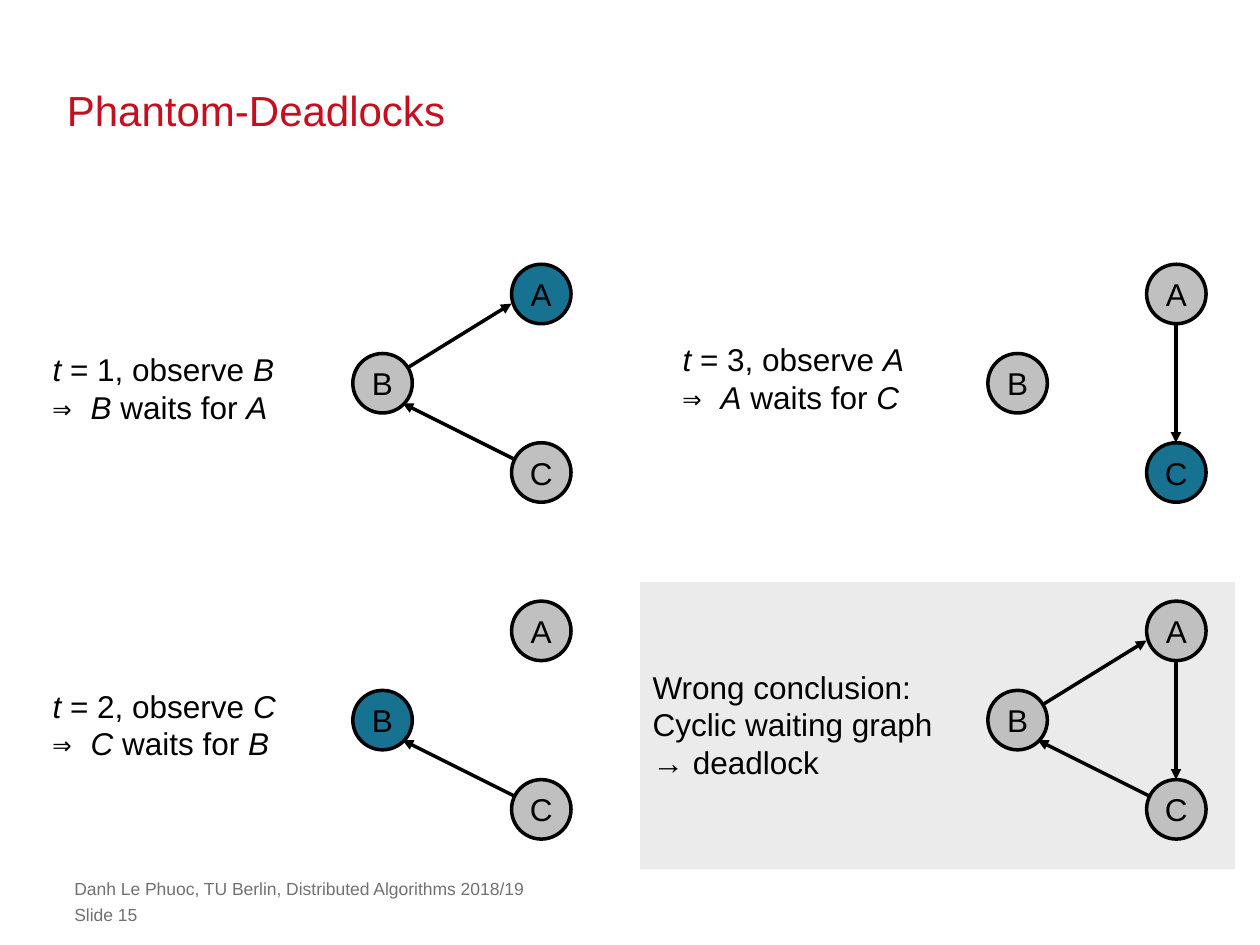
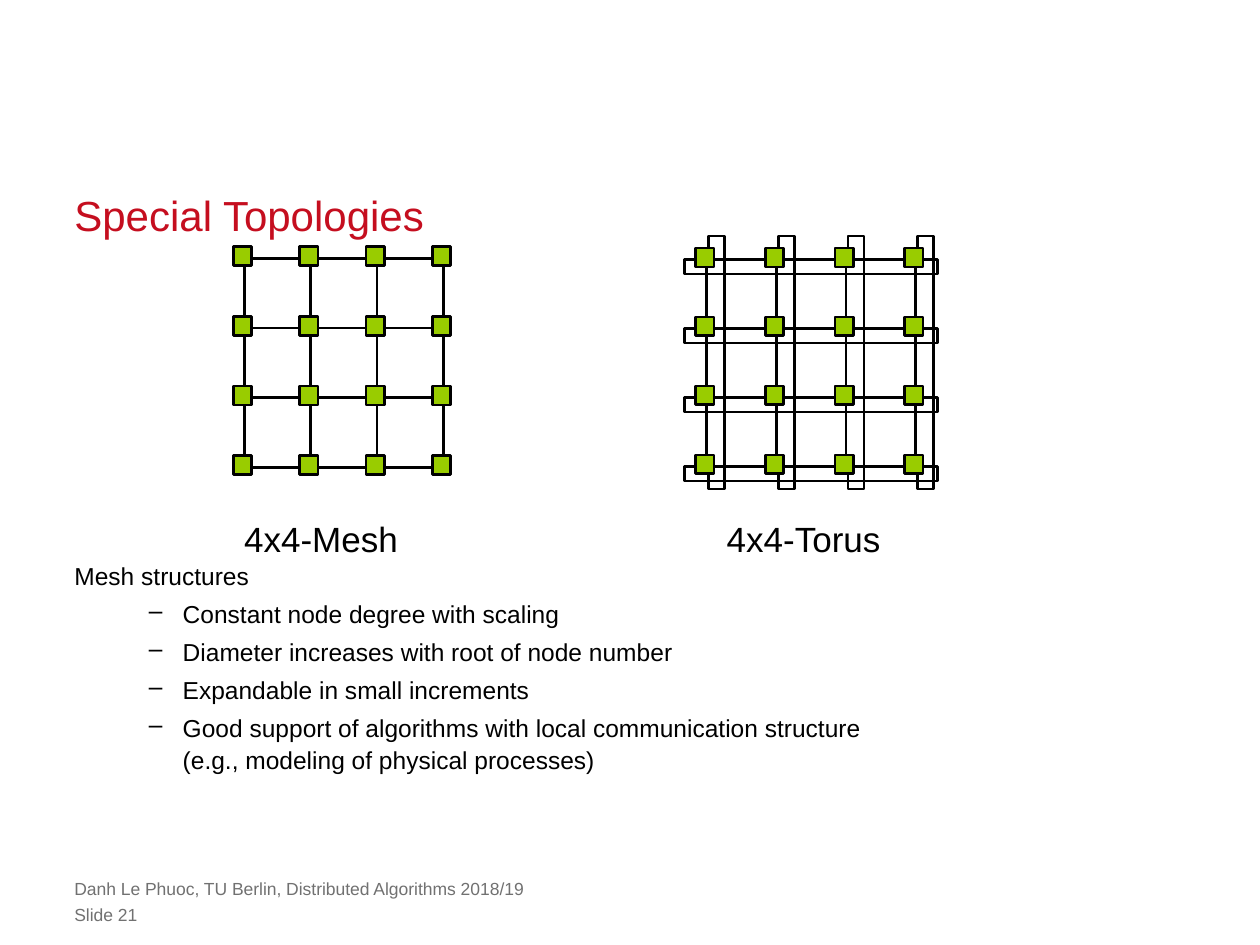
from dataclasses import dataclass
from itertools import product

from lxml.etree import SubElement
from pptx import Presentation
from pptx.dml.color import RGBColor
from pptx.enum.shapes import MSO_CONNECTOR, MSO_SHAPE
from pptx.enum.text import MSO_ANCHOR, PP_ALIGN
from pptx.oxml.ns import qn
from pptx.util import Pt


@dataclass(frozen=True)
class Theme:
    font: str = "Arial"
    symbol_font: str = "DejaVu Sans Mono"
    black: str = "000000"
    title: str = "C50E1F"
    footer: str = "717171"
    idle: str = "C0C0C0"
    observed: str = "177191"
    panel: str = "EBEBEB"
    mesh_node: str = "99CC00"
    title_size: int = 24
    caption_size: int = 20
    text_size: int = 18
    body_size: int = 14
    footer_size: int = 10
    graph_line: float = 2
    mesh_line: float = 1.5


THEME = Theme()


def observation(time, waiting, holder):
    return [
        [("t", "italic"), (f" = {time}, observe ", ""), (waiting, "italic")],
        [("⇒ ", "symbol"), (waiting, "italic"), (" waits for ", ""), (holder, "italic")],
    ]


FOOTER = "Danh Le Phuoc, TU Berlin, Distributed Algorithms 2018/19"
CONCLUSION = ["Wrong conclusion:", "Cyclic waiting graph", "→ deadlock"]

NODE_SIZE = 34
NODE_OFFSETS = {"A": (90.7, 0), "B": (0, 51), "C": (90.7, 102)}
EDGES = {
    "BA": ((17, 68), (90.7, 22.5)),
    "CB": ((107.5, 119), (28.5, 79.5)),
    "AC": ((107.5, 34), (107.5, 102)),
}
LEFT_GRAPH, RIGHT_GRAPH = 201.6, 564.5
TOP_GRAPH, BOTTOM_GRAPH = 151, 343.5
PANEL = (365.8, 332.6, 340, 164.2)
WAITING_GRAPHS = [
    {"origin": (LEFT_GRAPH, TOP_GRAPH), "edges": ["BA", "CB"], "observed": "A",
     "label": (23, 196.6), "lines": observation(1, "B", "A")},
    {"origin": (LEFT_GRAPH, BOTTOM_GRAPH), "edges": ["CB"], "observed": "B",
     "label": (23, 388.8), "lines": observation(2, "C", "B")},
    {"origin": (RIGHT_GRAPH, TOP_GRAPH), "edges": ["AC"], "observed": "C",
     "label": (383, 190.6), "lines": observation(3, "A", "C")},
    {"origin": (RIGHT_GRAPH, BOTTOM_GRAPH), "edges": ["BA", "CB", "AC"], "observed": "",
     "label": (365.8, 378), "lines": CONCLUSION},
]

GRID_COUNT = 4
GRIDS = [
    {"caption": "4x4-Mesh", "caption_left": 132.4, "origin": (139.7, 147.6),
     "step": (37.9, 39.8), "wrapped": False},
    {"caption": "4x4-Torus", "caption_left": 408.2, "origin": (403.9, 148.3),
     "step": (39.8, 39.4), "wrapped": True},
]
MESH_HEADING = "Mesh structures"
MESH_PROPERTIES = [
    "Constant node degree with scaling",
    "Diameter increases with root of node number",
    "Expandable in small increments",
    "Good support of algorithms with local communication structure \n"
    "(e.g., modeling of physical processes)",
]


def set_values(target, values):
    for name, value in values.items():
        setattr(target, name, value)


def points(*lengths):
    return [Pt(length) for length in lengths]


def add_run(paragraph, text, size, color, style=""):
    run = paragraph.add_run()
    run.text = text
    font = THEME.symbol_font if style == "symbol" else THEME.font
    set_values(run.font, {"name": font, "size": Pt(size), "italic": style == "italic"})
    run.font.color.rgb = RGBColor.from_string(color)


def write_lines(shape, lines, size, color, frame_format, paragraph_format):
    frame = shape.text_frame
    set_values(frame, frame_format)
    for index, line in enumerate(lines):
        paragraph = frame.add_paragraph() if index else frame.paragraphs[0]
        set_values(paragraph, paragraph_format)
        runs = [(line, "")] if isinstance(line, str) else line
        for text, style in runs:
            for part_index, part in enumerate(text.split("\n")):
                if part_index:
                    paragraph.add_line_break()
                add_run(paragraph, part, size, color, style)
    return frame


NO_MARGINS = dict.fromkeys(("margin_left", "margin_top", "margin_right", "margin_bottom"), 0)


def add_text(slide, box, lines, size, color=THEME.black, frame_format=None, paragraph_format=None):
    shape = slide.shapes.add_textbox(*points(*box))
    return write_lines(shape, lines, size, color,
                       {"word_wrap": True, **(frame_format or {})}, paragraph_format or {})


def style_outline(line, width):
    line.width = Pt(width)
    line.color.rgb = RGBColor.from_string(THEME.black)


def add_box(slide, kind, box, fill, line_width=None):
    shape = slide.shapes.add_shape(kind, *points(*box))
    shape.shadow.inherit = False
    shape.fill.solid()
    shape.fill.fore_color.rgb = RGBColor.from_string(fill)
    if line_width:
        style_outline(shape.line, line_width)
    else:
        shape.line.fill.background()
    return shape


def add_line(slide, start, end, width, arrow=False):
    connector = slide.shapes.add_connector(MSO_CONNECTOR.STRAIGHT, *points(*start, *end))
    style_outline(connector.line, width)
    properties = connector._element.spPr
    if arrow:
        SubElement(properties.find(qn("a:ln")), qn("a:tailEnd"), type="triangle")
    SubElement(properties, qn("a:effectLst"))


def add_loop(slide, corners):
    start, *others = [tuple(points(*corner)) for corner in corners]
    builder = slide.shapes.build_freeform(*start, scale=1.0)
    builder.add_line_segments(others, close=False)
    shape = builder.convert_to_shape()
    shape.shadow.inherit = False
    shape.fill.background()
    style_outline(shape.line, THEME.mesh_line)


def start_slide(presentation, title, title_position, number):
    slide = presentation.slides.add_slide(presentation.slide_layouts[6])
    add_text(slide, (*title_position, 635, 30.2), [title], THEME.title_size, THEME.title,
             {**NO_MARGINS, "vertical_anchor": MSO_ANCHOR.BOTTOM}, {"line_spacing": Pt(30)})
    for top, text in ((501.8, FOOTER), (516.4, f"Slide {number}")):
        add_text(slide, (42.5, top, 521.3, 12.2), [text], THEME.footer_size,
                 THEME.footer, NO_MARGINS)
    return slide


def draw_waiting_graph(slide, graph):
    left, top = graph["origin"]
    for edge in graph["edges"]:
        start, end = [(left + x, top + y) for x, y in EDGES[edge]]
        add_line(slide, start, end, THEME.graph_line, arrow=True)
    for name, (x, y) in NODE_OFFSETS.items():
        fill = THEME.observed if name == graph["observed"] else THEME.idle
        node = add_box(slide, MSO_SHAPE.OVAL, (left + x, top + y, NODE_SIZE, NODE_SIZE),
                       fill, THEME.graph_line)
        write_lines(node, [name], THEME.text_size, THEME.black,
                    {"word_wrap": False, "vertical_anchor": MSO_ANCHOR.MIDDLE},
                    {"alignment": PP_ALIGN.CENTER})
    height = 7.2 + 22 * len(graph["lines"])
    add_text(slide, (*graph["label"], 190, height), graph["lines"], THEME.text_size)


def draw_grid(slide, grid):
    columns, rows = [[start + step * index for index in range(GRID_COUNT)]
                     for start, step in zip(grid["origin"], grid["step"])]
    left, right, top, bottom = columns[0], columns[-1], rows[0], rows[-1]
    if grid["wrapped"]:
        for x in columns:
            near, far = x + 1, x + 10.2
            add_loop(slide, [(near, top - 5), (near, top - 13.5), (far, top - 13.5),
                             (far, bottom + 13), (near, bottom + 13), (near, bottom + 4.5)])
        for y in rows:
            far = y + 8.4
            add_loop(slide, [(right + 3.6, y), (right + 12.5, y), (right + 12.5, far),
                             (left - 12.9, far), (left - 12.9, y), (left - 4.3, y)])
    for y in rows:
        add_line(slide, (left, y), (right, y), THEME.mesh_line)
    for x in columns:
        add_line(slide, (x, top), (x, bottom), THEME.mesh_line)
    for y, x in product(rows, columns):
        add_box(slide, MSO_SHAPE.RECTANGLE, (x - 6.4, y - 6.6, 10.6, 10.8),
                THEME.mesh_node, THEME.mesh_line)
    add_text(slide, (grid["caption_left"], 292, 126, 31), [grid["caption"]], THEME.caption_size)


def draw_mesh_text(slide):
    frame = add_text(slide, (42.5, 319, 635, 152.6), [MESH_HEADING, *MESH_PROPERTIES],
                     THEME.body_size, frame_format=NO_MARGINS,
                     paragraph_format={"line_spacing": 1.1})
    for paragraph in frame.paragraphs[1:]:
        paragraph.space_before = Pt(3.2)
        properties = paragraph._p.get_or_add_pPr()
        properties.set("marL", str(Pt(61.9)))
        properties.set("indent", str(Pt(-19.4)))
        SubElement(properties, qn("a:buChar"), char="–")


def main():
    presentation = Presentation()
    set_values(presentation, {"slide_width": Pt(720), "slide_height": Pt(540)})

    deadlocks = start_slide(presentation, "Phantom-Deadlocks", (38.2, 46.8), 15)
    add_box(deadlocks, MSO_SHAPE.RECTANGLE, PANEL, THEME.panel)
    for graph in WAITING_GRAPHS:
        draw_waiting_graph(deadlocks, graph)

    topologies = start_slide(presentation, "Special Topologies", (42.5, 106.6), 21)
    draw_mesh_text(topologies)
    for grid in GRIDS:
        draw_grid(topologies, grid)

    presentation.save("out.pptx")


if __name__ == "__main__":
    main()
